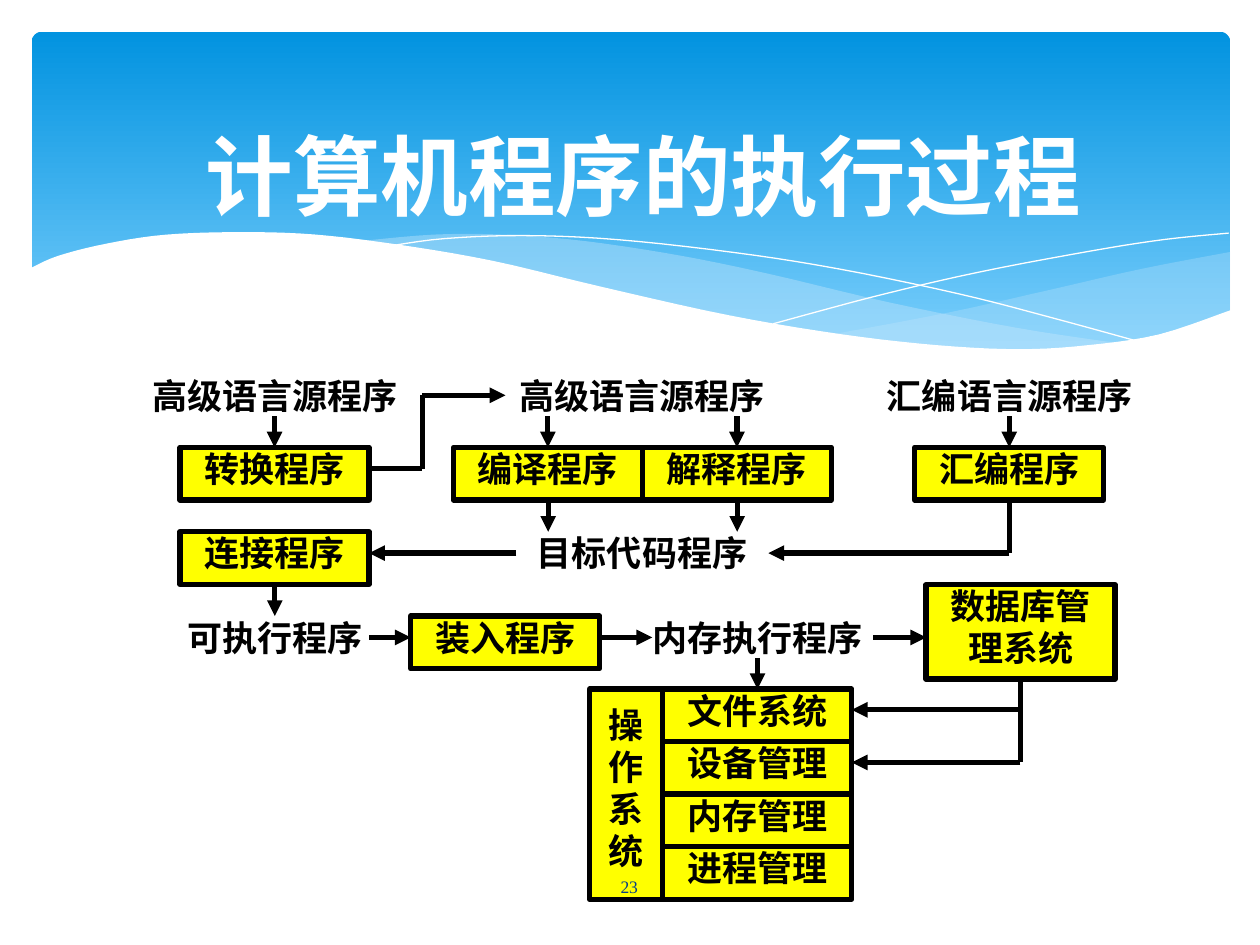
from dataclasses import dataclass
from itertools import pairwise

from lxml.etree import SubElement as Sub
from pptx import Presentation
from pptx.dml.color import RGBColor as Rgb
from pptx.enum.shapes import MSO_CONNECTOR as Link, MSO_SHAPE as Form
from pptx.enum.text import MSO_ANCHOR as Anchor, PP_ALIGN as Align
from pptx.oxml.ns import qn
from pptx.util import Cm, Pt


@dataclass(frozen=True)
class Theme:
    """Colours, fonts and sizes of the slide."""
    sky: str = "0293E0"
    pale: str = "83D3FE"
    mist: str = "C6E7FC"
    white: str = "FFFFFF"
    ink: str = "000000"
    box: str = "FFFF00"
    navy: str = "073E87"
    head: str = "Calibri"
    body: str = "Arial"
    foot: str = "Times New Roman"
    big: int = 50
    mid: int = 20
    small: int = 10
    line: int = 3


T = Theme()


def color(code):
    """Turn a hex code into a colour."""
    return Rgb.from_string(code)


def write(shape, words, font, size, code, bold=True, pad=(0, 0, 0, 0), anchor=Anchor.TOP):
    """Put one centred run into a shape."""
    frame = shape.text_frame
    frame.word_wrap = True
    frame.vertical_anchor = anchor
    frame.margin_left, frame.margin_top, frame.margin_right, frame.margin_bottom = map(Cm, pad)
    para = frame.paragraphs[0]
    para.alignment = Align.CENTER
    para.space_before = Pt(0)
    run = para.add_run()
    run.text = words
    run.font.name, run.font.size, run.font.bold = font, Pt(size), bold
    run.font.color.rgb = color(code)


def smooth(knots, steps=5):
    """Return points on a smooth curve through the knots."""
    ends = [knots[0], *knots, knots[-1]]
    curve = [knots[0]]
    for a, b, c, d in zip(ends, ends[1:], ends[2:], ends[3:]):
        for i in range(1, steps + 1):
            t = i / steps
            curve.append(tuple(
                (2 * q + (r - p) * t + (2 * p - 5 * q + 4 * r - s) * t ** 2
                 + (3 * q - p - 3 * r + s) * t ** 3) / 2
                for p, q, r, s in zip(a, b, c, d)))
    return curve


def wave(slide, left, top, points, fill=None, alpha=100):
    """Draw a filled outline, or a thin white curve without fill."""
    spots = [(Cm(left + x), Cm(top + y)) for x, y in points]
    pen = slide.shapes.build_freeform(*spots[0])
    pen.add_line_segments(spots[1:], close=bool(fill))
    shape = pen.convert_to_shape()
    shape.shadow.inherit = False
    if not fill:
        shape.fill.background()
        shape.line.color.rgb = color(T.white)
        shape.line.width = Pt(0)
        return
    shape.line.fill.background()
    shape.fill.solid()
    shape.fill.fore_color.rgb = color(fill)
    if alpha < 100:
        tint = shape.element.spPr.find(f"{qn('a:solidFill')}/{qn('a:srgbClr')}")
        Sub(tint, qn("a:alpha"), val=str(alpha * 1000))


def banner(slide, left, top, wide, high):
    """Draw the blue header with its waves."""
    back = slide.shapes.add_shape(Form.ROUNDED_RECTANGLE, *map(Cm, (left, top, wide, high)))
    back.adjustments[0] = 0.03
    back.shadow.inherit = False
    back.line.fill.background()
    back.fill.gradient()
    back.fill.gradient_angle = 270
    for stop, code in zip(back.fill.gradient_stops, (T.sky, T.pale)):
        stop.color.rgb = color(code)

    right = smooth([(24.16, 4.44), (22.38, 4.78), (20.5, 5.21), (18.49, 5.66), (16.15, 6.1)])
    right += smooth([(16.15, 6.1), (17.6, 6.3), (19.2, 6.4), (20.8, 6.4), (22.15, 6.22),
                     (23.29, 5.94), (24.16, 5.64)])
    wave(slide, left, top, right, T.mist, 29)

    crest = smooth([(22.05, 6.3), (19.86, 5.97), (17.3, 5.46), (14.94, 4.9), (13.11, 4.52),
                    (11.15, 4.22), (9.5, 4.09), (8.1, 4.09), (6.63, 4.22)])
    crest += smooth([(6.63, 4.22), (8.56, 4.52), (10.77, 5), (12.83, 5.46), (15.06, 5.92),
                     (17.02, 6.22), (19, 6.43), (20.65, 6.43), (22.05, 6.3)])
    wave(slide, left, top, crest, T.mist, 40)

    wave(slide, left, top, smooth([
        (7.21, 4.32), (8.33, 4.17), (9.93, 4.11), (11.79, 4.19), (14.15, 4.45),
        (16.26, 4.78), (18.67, 5.28), (20.47, 5.74), (22.4, 6.27)]))
    wave(slide, left, top, smooth([
        (14.94, 5.89), (17.02, 5.33), (19.08, 4.85), (21.36, 4.42), (22.83, 4.19), (24.13, 4.06)]))

    base = smooth([
        (24.18, 5.61), (22.73, 6.1), (21.29, 6.32), (19.91, 6.4), (18.26, 6.32), (16.33, 6.1),
        (14.07, 5.72), (11.43, 5.13), (9.3, 4.62), (7.37, 4.29), (5.72, 4.09), (4.27, 4.04),
        (2.72, 4.09), (1.52, 4.27), (0.53, 4.52), (-0.05, 4.78)])
    wave(slide, left, top, base + [(-0.05, 7.72), (24.18, 7.72)], T.white)


def heading(slide, left, top, wide, high):
    """Place the title above the header."""
    title = slide.shapes.title
    title.left, title.top, title.width, title.height = map(Cm, (left, top, wide, high))
    write(title, "计算机程序的执行过程", T.head, T.big, T.white,
          pad=(0.25, 0.13, 0.25, 0.13), anchor=Anchor.MIDDLE)
    title.element.getparent().append(title.element)


def chart(slide, left, top):
    """Draw the flow of programs from its top left corner."""
    wide, high, span = 3.81, 1.06, 5.51
    first, tools, link, load, system = 0, 1.48, 3.18, 4.88, 6.35
    mid, gap = 0.43, 0.63

    def label(words, x, y, w=span):
        """Add a plain label."""
        shape = slide.shapes.add_textbox(*map(Cm, (left + x, top + y, w, high)))
        write(shape, words, T.body, T.mid, T.ink)

    def block(words, x, y, w=wide, h=high, inset=0):
        """Add a yellow box."""
        shape = slide.shapes.add_shape(Form.RECTANGLE, *map(Cm, (left + x, top + y, w, h)))
        shape.shadow.inherit = False
        shape.fill.solid()
        shape.fill.fore_color.rgb = color(T.box)
        shape.line.color.rgb = color(T.ink)
        shape.line.width = Pt(T.line)
        write(shape, words, T.body, T.mid, T.ink, pad=(0.25, inset, 0.25, 0))

    def route(*spots, tip=True):
        """Join the spots with lines, the last one with an arrowhead."""
        for start, end in pairwise(spots):
            ends = (left + start[0], top + start[1], left + end[0], top + end[1])
            line = slide.shapes.add_connector(Link.STRAIGHT, *map(Cm, ends))
            line.line.color.rgb = color(T.ink)
            line.line.width = Pt(T.line)
            if tip and end == spots[-1]:
                Sub(line.line._get_or_add_ln(), qn("a:tailEnd"), type="triangle")
            Sub(line.element.spPr, qn("a:effectLst"))

    def drop(x, y):
        """Add a short arrow that ends at y."""
        route((x, y - gap), (x, y))

    for words, x, y in (("高级语言源程序", 0, first), ("高级语言源程序", 7.4, first),
                        ("汇编语言源程序", 14.81, first), ("目标代码程序", 7.4, link),
                        ("可执行程序", 0, load)):
        label(words, x, y)
    label("内存执行程序", 10.16, load, 4.65)

    for words, x in (("转换程序", 0.84), ("编译程序", 6.35), ("解释程序", 10.16), ("汇编程序", 15.65)):
        block(words, x, tools)
        drop(x + wide / 2, tools)
    block("连接程序", 0.84, link)
    block("装入程序", 5.49, load)
    block("数据库管理系统", 15.88, 4.25, h=1.9)
    for i, words in enumerate(("文件系统", "设备管理", "内存管理", "进程管理")):
        block(words, 10.57, system + i * high)
    block("操作系统", 9.1, system, 1.47, 4 * high, 0.3)

    for x, y in ((8.26, link), (12.07, link), (2.75, load), (12.48, system)):
        drop(x, y)
    route((4.65, tools + mid), (5.72, tools + mid), (5.72, mid), (7.4, mid))
    route((17.56, tools + high), (17.56, link + mid), (12.7, link + mid))
    route((7.62, link + mid), (4.65, link + mid))
    for start, end in ((4.65, 5.49), (9.3, 10.36), (14.81, 15.88)):
        route((start, load + mid), (end, load + mid))
    route((17.78, 6.15), (17.78, 7.83), tip=False)
    for y in (6.77, 7.83):
        route((17.78, y), (14.38, y))


def footer(slide, left, top, wide, high):
    """Add the page number."""
    shape = slide.shapes.add_textbox(*map(Cm, (left, top, wide, high)))
    write(shape, "23", T.foot, T.small, T.navy, False, (0.25, 0.13, 0.25, 0.13), Anchor.MIDDLE)


def main():
    """Build and save the slide."""
    deck = Presentation()
    deck.slide_width, deck.slide_height = Cm(25.4), Cm(19.05)
    slide = deck.slides.add_slide(deck.slide_layouts[5])
    banner(slide, 0.64, 0.64, 24.16, 6.86)
    heading(slide, 1.63, 2.34, 22.68, 2.36)
    chart(slide, 2.79, 7.54)
    footer(slide, 11.07, 17.37, 3.23, 1.02)
    deck.save("out.pptx")


if __name__ == "__main__":
    main()
